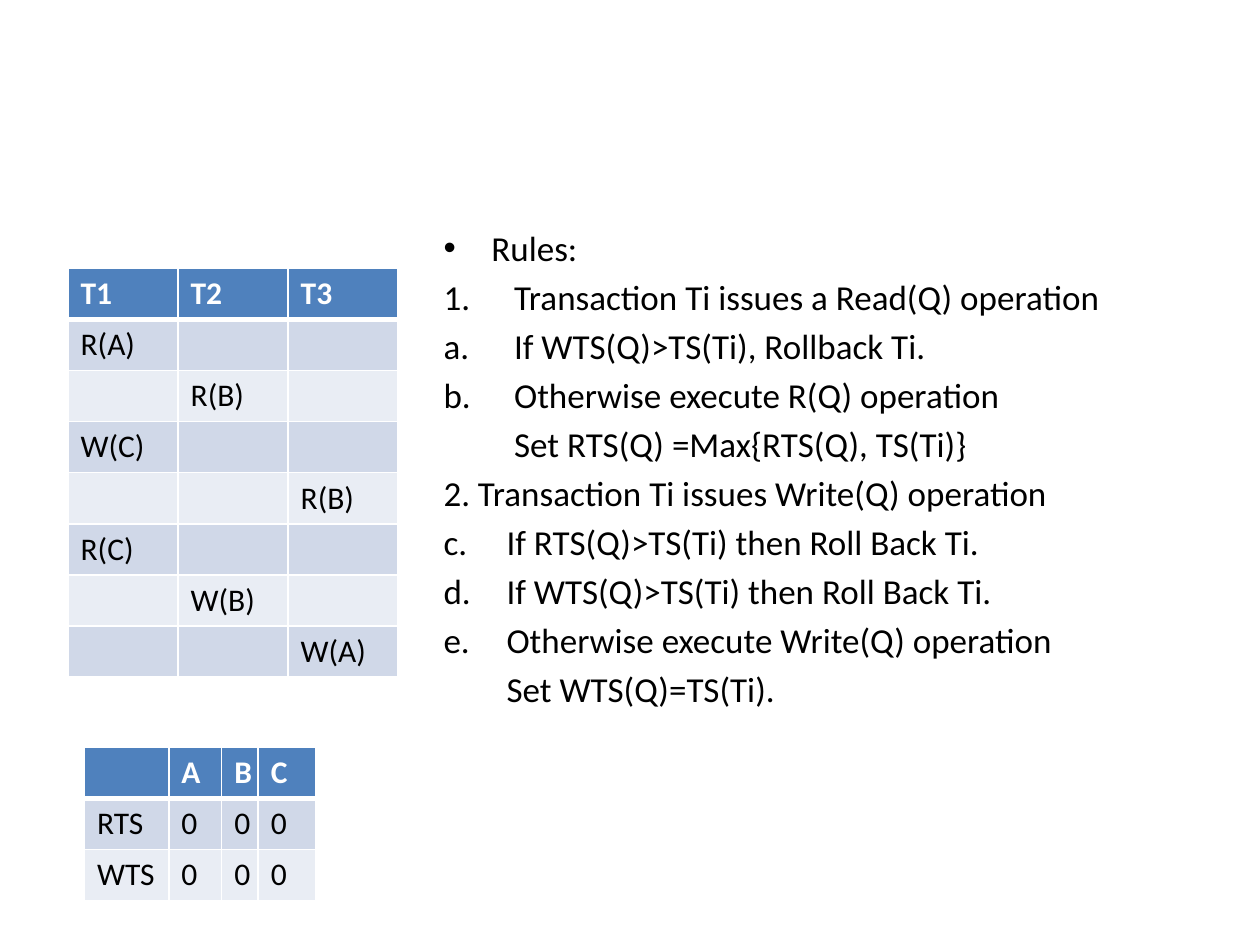
from lxml import etree
from pptx import Presentation
from pptx import util as u
from pptx.dml.color import RGBColor
from pptx.enum import text
from pptx.oxml.ns import qn

FONT = "Calibri"
HEADER, BANDS = "4F81BD", ("D0D8E8", "E9EDF4")
WHITE, BLACK = "FFFFFF", "000000"
ROW_HEIGHT = 3.24 / 8

SCHEDULE = [
    ["T1", "T2", "T3"],
    ["R(A)", "", ""],
    ["", "R(B)", ""],
    ["W(C)", "", ""],
    ["", "", "R(B)"],
    ["R(C)", "", ""],
    ["", "W(B)", ""],
    ["", "", "W(A)"],
]
TIMESTAMPS = [
    ["", "A", "B", "C"],
    ["RTS", "0", "0", "0"],
    ["WTS", "0", "0", "0"],
]

# Text, left indent, hanging indent, bullet tag, bullet attributes
LETTER = {"type": "alphaLcPeriod"}
LETTER_FROM_C = {"type": "alphaLcPeriod", "startAt": "3"}
RULES = [
    ("Rules:", 0.38, 0.38, "a:buChar", {"char": "•"}),
    ("Transaction Ti issues a Read(Q) operation", 0.56, 0.56,
     "a:buAutoNum", {"type": "arabicPeriod"}),
    ("If WTS(Q)>TS(Ti), Rollback Ti.", 0.56, 0.56, "a:buAutoNum", LETTER),
    ("Otherwise execute R(Q) operation", 0.56, 0.56, "a:buAutoNum", LETTER),
    ("Set RTS(Q) =Max{RTS(Q), TS(Ti)}", 0.56, 0, "a:buNone", {}),
    ("2. Transaction Ti issues Write(Q) operation", 0, 0, "a:buNone", {}),
    ("If RTS(Q)>TS(Ti) then Roll Back Ti.", 0.5, 0.5, "a:buAutoNum", LETTER_FROM_C),
    ("If WTS(Q)>TS(Ti) then Roll Back Ti.", 0.5, 0.5, "a:buAutoNum", LETTER_FROM_C),
    ("Otherwise execute Write(Q) operation", 0.5, 0.5, "a:buAutoNum", LETTER_FROM_C),
    ("Set WTS(Q)=TS(Ti).", 0.5, 0, "a:buNone", {}),
]


def rgb(value):
    return RGBColor.from_string(value)


def format_font(font, size, color, bold=False):
    font.name, font.size, font.bold = FONT, u.Pt(size), bold
    font.color.rgb = rgb(color)


def set_borders(cell, top, bottom):
    """Draw white borders, with top and bottom widths in points."""
    tc_pr = cell._tc.get_or_add_tcPr()
    widths = {"a:lnL": 1, "a:lnR": 1, "a:lnT": top, "a:lnB": bottom}
    for i, (tag, width) in enumerate(widths.items()):
        ln = etree.Element(qn(tag), w=str(u.Pt(width)))
        fill = etree.SubElement(ln, qn("a:solidFill"))
        etree.SubElement(fill, qn("a:srgbClr"), val=WHITE)
        tc_pr.insert(i, ln)


def add_banded_table(slide, left, top, col_widths, rows):
    table = slide.shapes.add_table(
        len(rows), len(col_widths), u.Inches(left), u.Inches(top),
        u.Inches(sum(col_widths)), u.Inches(ROW_HEIGHT * len(rows))).table
    for column, width in zip(table.columns, col_widths):
        column.width = u.Inches(width)
    for i, row in enumerate(rows):
        header = i == 0
        for j, label in enumerate(row):
            cell = table.cell(i, j)
            cell.fill.solid()
            cell.fill.fore_color.rgb = rgb(HEADER if header else BANDS[(i - 1) % 2])
            set_borders(cell, 3 if i == 1 else 1, 3 if header else 1)
            p = cell.text_frame.paragraphs[0]
            p.text = label
            format_font(p.font, 18, WHITE if header else BLACK, header)
            for r in p.runs:
                format_font(r.font, 18, WHITE if header else BLACK, header)


def fill_rules(body, left, top, width, height):
    body.left, body.top = u.Inches(left), u.Inches(top)
    body.width, body.height = u.Inches(width), u.Inches(height)
    tf = body.text_frame
    tf.auto_size = text.MSO_AUTO_SIZE.NONE
    for i, (line, indent, hanging, bullet, attributes) in enumerate(RULES):
        p = tf.add_paragraph() if i else tf.paragraphs[0]
        p.text = line
        p.space_before = u.Pt(4 if i else 0)
        p_pr = p._p.get_or_add_pPr()
        p_pr.set("marL", str(u.Inches(indent)))
        p_pr.set("indent", str(-u.Inches(hanging)))
        etree.SubElement(p_pr, qn(bullet), attributes)
        for r in p.runs:
            format_font(r.font, 20, BLACK)


def build_slide(prs):
    slide = prs.slides.add_slide(prs.slide_layouts[1])
    title = slide.shapes.title
    title.element.getparent().remove(title.element)
    add_banded_table(slide, 0.54, 2.13, [2.62 / 3] * 3, SCHEDULE)
    fill_rules(slide.placeholders[1], 3.42, 1.75, 6.08, 4.95)
    add_banded_table(slide, 0.67, 5.93, [0.67, 0.42, 0.29, 0.46], TIMESTAMPS)


def main():
    prs = Presentation()
    prs.slide_width, prs.slide_height = u.Inches(10), u.Inches(7.5)
    build_slide(prs)
    prs.save("out.pptx")


if __name__ == "__main__":
    main()
